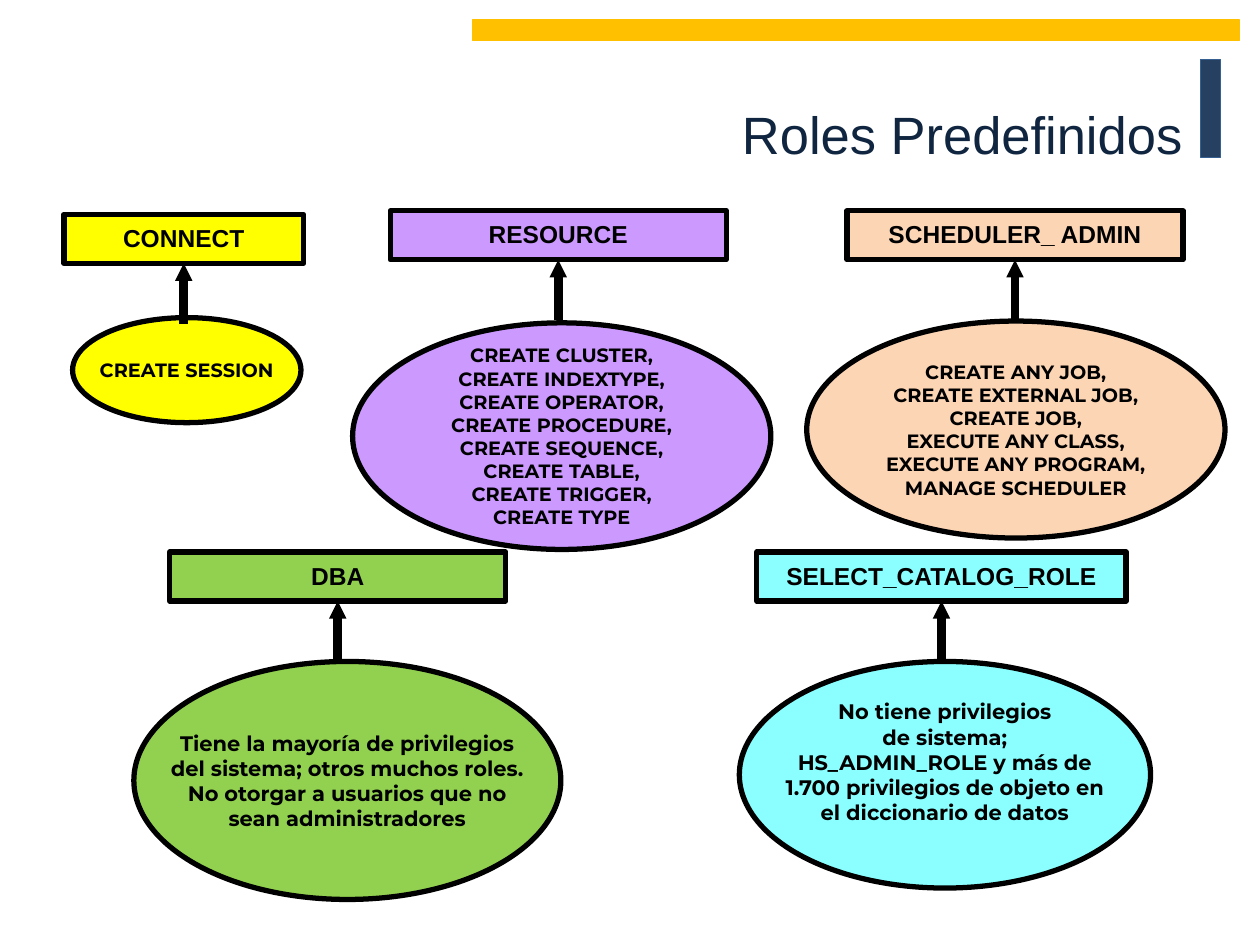
from lxml.etree import SubElement
from pptx import Presentation
from pptx.dml.color import RGBColor
from pptx.enum.shapes import MSO_CONNECTOR, MSO_SHAPE
from pptx.enum.text import MSO_ANCHOR, PP_ALIGN
from pptx.oxml.ns import qn
from pptx.util import Pt

BLACK = RGBColor(0x00, 0x00, 0x00)
NAVY = RGBColor(0x25, 0x40, 0x61)
BLUE = RGBColor(0x37, 0x60, 0x92)
TITLE_NAVY = RGBColor(0x10, 0x25, 0x3F)
AMBER = RGBColor(0xFF, 0xC0, 0x00)
YELLOW = RGBColor(0xFF, 0xFF, 0x00)
PURPLE = RGBColor(0xCC, 0x99, 0xFF)
PEACH = RGBColor(0xFC, 0xD5, 0xB5)
GREEN = RGBColor(0x92, 0xD0, 0x50)
CYAN = RGBColor(0x8B, 0xFF, 0xFF)

BOX_HEIGHT = 28
ARROW_LENGTH = 34.5
BOX_FORMAT = {"margin_left": Pt(3.6), "margin_right": Pt(3.6)}
BLANK_LINE = 14.6  # one line of 12 pt Montserrat

prs = Presentation()
prs.slide_width, prs.slide_height = Pt(720), Pt(540)
slide = prs.slides.add_slide(prs.slide_layouts[5])


def add_block(kind, place, fill, line, weight):
    block = slide.shapes.add_shape(kind, *map(Pt, place))
    block.shadow.inherit = False
    block.fill.solid()
    block.fill.fore_color.rgb = fill
    block.line.color.rgb = line
    block.line.width = Pt(weight)
    return block


def write_lines(block, lines, font_format, frame_format, spacing=None):
    frame = block.text_frame
    frame.word_wrap = False
    frame.vertical_anchor = MSO_ANCHOR.MIDDLE
    for key, value in frame_format.items():
        setattr(frame, key, value)
    for i, line in enumerate(lines):
        paragraph = frame.paragraphs[0] if i == 0 else frame.add_paragraph()
        paragraph.alignment = PP_ALIGN.CENTER
        paragraph.line_spacing = spacing
        run = paragraph.add_run()
        run.text = line
        run.font.color.rgb = BLACK
        for key, value in font_format.items():
            setattr(run.font, key, value)


# Decorative bars
add_block(MSO_SHAPE.RECTANGLE, (686, 34, 11.5, 56), NAVY, BLUE, 0.75)
add_block(MSO_SHAPE.RECTANGLE, (270, 11.5, 438.5, 11.5), AMBER, AMBER, 0.75)

# Title
title = slide.shapes.title
title.left, title.top, title.width, title.height = map(Pt, (48, 19, 635, 115))
title.text_frame.text = "Roles Predefinidos"
title.text_frame.vertical_anchor = MSO_ANCHOR.MIDDLE
heading = title.text_frame.paragraphs[0]
heading.alignment = PP_ALIGN.RIGHT
heading_font = heading.runs[0].font
heading_font.name, heading_font.size = "Arial", Pt(30)
heading_font.color.rgb = TITLE_NAVY

# Role, colour, box (left, top, width), ellipse, text size, blank lines below, privileges
roles = [
    ("CONNECT", YELLOW, (36.5, 122.5, 137), (41.5, 181.5, 130.5, 60), 11, 0,
     ["CREATE SESSION"]),
    ("RESOURCE", PURPLE, (223, 120.5, 192), (201.5, 184.5, 239, 129.5), 11, 0,
     ["CREATE CLUSTER,", "CREATE INDEXTYPE,", "CREATE OPERATOR,",
      "CREATE PROCEDURE,", "CREATE SEQUENCE,", "CREATE TABLE,",
      "CREATE TRIGGER,", "CREATE TYPE"]),
    ("SCHEDULER_ ADMIN", PEACH, (484, 120.5, 192), (461, 183.5, 239, 124), 11, 0,
     ["CREATE ANY JOB,", "CREATE EXTERNAL JOB,", "CREATE JOB,",
      "EXECUTE ANY CLASS,", "EXECUTE ANY PROGRAM,", "MANAGE SCHEDULER"]),
    ("DBA", GREEN, (97, 315.5, 192), (76.5, 378, 244, 136), 12, 0,
     ["Tiene la mayoría de privilegios", "del sistema; otros muchos roles.",
      "No otorgar a usuarios que no", "sean administradores"]),
    ("SELECT_CATALOG_ROLE", CYAN, (432.5, 315.5, 211), (422.5, 378, 235, 129.5), 12, 1,
     ["No tiene privilegios", "de sistema;", "HS_ADMIN_ROLE y más de",
      "1.700 privilegios de objeto en", "el diccionario de datos"]),
]

for role, colour, (left, top, width), oval, size, blank_lines, privileges in roles:
    # Role box
    role_box = add_block(MSO_SHAPE.RECTANGLE, (left, top, width, BOX_HEIGHT),
                         colour, BLACK, 3)
    write_lines(role_box, [role], {"name": "Arial", "size": Pt(14), "bold": True},
                BOX_FORMAT, 0.95)

    # Privileges ellipse
    privilege_oval = add_block(MSO_SHAPE.OVAL, oval, colour, BLACK, 3)
    write_lines(privilege_oval, privileges,
                {"name": "Montserrat", "size": Pt(size), "bold": True},
                {"margin_bottom": Pt(3.6 + blank_lines * BLANK_LINE)})

    # Arrow up to the role box
    centre, bottom = left + width / 2, top + BOX_HEIGHT
    arrow = slide.shapes.add_connector(
        MSO_CONNECTOR.STRAIGHT, Pt(centre), Pt(bottom + ARROW_LENGTH),
        Pt(centre), Pt(bottom))
    arrow.end_connect(role_box, 2)
    arrow.line.color.rgb = BLACK
    arrow.line.width = Pt(5)
    SubElement(arrow.line._get_or_add_ln(), qn("a:tailEnd"),
               type="triangle", w="sm", len="sm")
    SubElement(arrow._element.spPr, qn("a:effectLst"))

prs.save("out.pptx")
